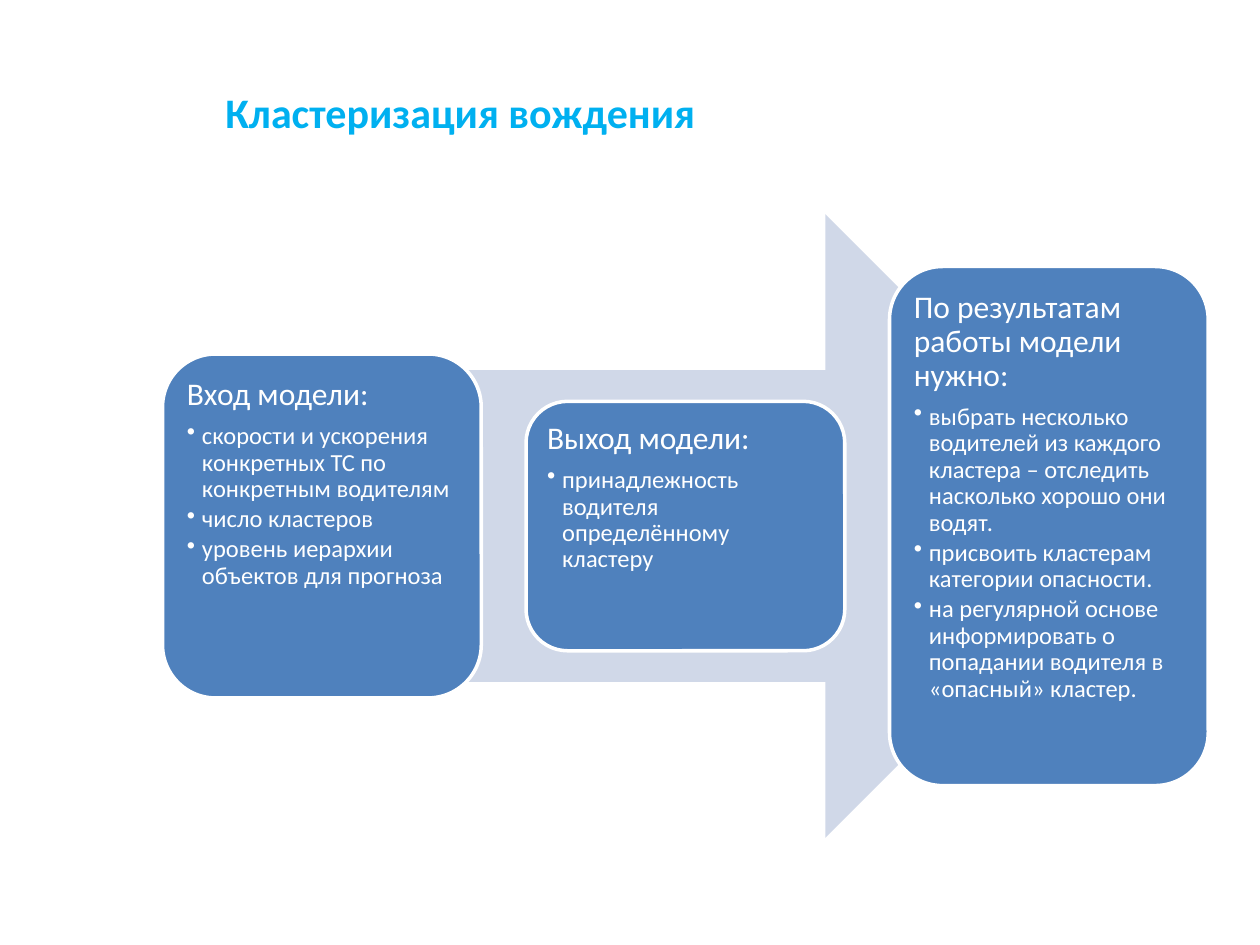
from lxml import etree
from pptx import Presentation
from pptx.dml.color import RGBColor
from pptx.enum.shapes import MSO_SHAPE
from pptx.enum.text import MSO_ANCHOR, PP_ALIGN
from pptx.oxml.ns import qn
from pptx.util import Inches, Pt

ARROW, CARD = MSO_SHAPE.RIGHT_ARROW, MSO_SHAPE.ROUNDED_RECTANGLE
TOP, MIDDLE = MSO_ANCHOR.TOP, MSO_ANCHOR.MIDDLE
LEFT = PP_ALIGN.LEFT

WHITE = RGBColor(0xFF, 0xFF, 0xFF)
SKY = RGBColor(0x00, 0xB0, 0xF0)
BLUE = RGBColor(0x4F, 0x81, 0xBD)
PALE = RGBColor(0xD0, 0xD8, 0xE8)
FONT = "Calibri"

# Each stage: card height, heading, bullet points
STAGES = [
    (2.73, "Вход модели:", [
        "скорости и ускорения конкретных ТС по конкретным водителям",
        "число кластеров",
        "уровень иерархии объектов для прогноза",
    ]),
    (1.98, "Выход модели:", [
        "принадлежность водителя определённому кластеру",
    ]),
    (4.12, "По результатам работы модели нужно:", [
        "выбрать несколько водителей из каждого кластера – отследить "
        "насколько хорошо они водят.",
        "присвоить кластерам категории опасности.",
        "на регулярной основе информировать о попадании водителя в "
        "«опасный» кластер.",
    ]),
]


def set_font(paragraph, size, color, bold=False):
    font = paragraph.font
    font.name, font.size, font.bold = FONT, Pt(size), bold
    font.color.rgb = color


def add_filled(slide, preset, box, fill):
    shape = slide.shapes.add_shape(preset, *map(Inches, box))
    shape.shadow.inherit = False
    shape.fill.solid()
    shape.fill.fore_color.rgb = fill
    return shape


def add_title(slide, box, text, indent):
    title = slide.shapes.add_textbox(*map(Inches, box))
    frame = title.text_frame
    frame.word_wrap = True
    frame.vertical_anchor = MIDDLE
    heading = frame.paragraphs[0]
    heading.text = text
    heading._p.get_or_add_pPr().set("marL", str(Inches(indent)))
    set_font(heading, 24, SKY, bold=True)


def add_bullet(paragraph, indent):
    props = paragraph._p.get_or_add_pPr()
    props.set("marL", str(Inches(indent)))
    props.set("indent", str(-Inches(indent)))
    etree.SubElement(props, qn("a:buChar")).set("char", "•")


def add_card(slide, box, heading, points):
    card = add_filled(slide, CARD, box, BLUE)
    card.line.color.rgb = WHITE
    card.line.width = Pt(2)
    frame = card.text_frame
    frame.word_wrap = True
    frame.vertical_anchor = TOP
    frame.margin_left = frame.margin_right = Inches(0.07)
    frame.margin_top = frame.margin_bottom = Inches(0.07)

    for number, text in enumerate([heading] + points):
        is_point = number > 0
        paragraph = frame.add_paragraph() if is_point else frame.paragraphs[0]
        paragraph.text = text
        if is_point:
            paragraph.level = 1
            add_bullet(paragraph, 0.12)
        paragraph.alignment = LEFT
        paragraph.line_spacing = 0.9
        paragraph.space_before = Pt(0)
        paragraph.space_after = Pt(2.1 if is_point else 6.3)
        set_font(paragraph, 14 if is_point else 18, WHITE)


def add_process(slide, box, stages):
    left, top, width, height = box
    # Arrow behind the cards, centred in the region
    arrow_width = 7.17
    arrow_left = left + (width - arrow_width) / 2
    arrow = add_filled(slide, ARROW, (arrow_left, top, arrow_width, height), PALE)
    arrow.line.fill.background()

    # Equal columns, each card centred on the arrow's axis
    card_width = 2.53
    pitch = (width - card_width) / (len(stages) - 1)
    for column, (card_height, heading, points) in enumerate(stages):
        card_top = top + (height - card_height) / 2
        card_box = (left + column * pitch, card_top, card_width, card_height)
        add_card(slide, card_box, heading, points)


def main():
    deck = Presentation()
    deck.slide_width, deck.slide_height = Inches(10), Inches(7.5)
    slide = deck.slides.add_slide(deck.slide_layouts[6])
    add_title(slide, (1.22, 0.48, 5.85, 0.82), "Кластеризация вождения", 0.47)
    add_process(slide, (1.29, 1.7, 8.3, 4.95), STAGES)
    deck.save("out.pptx")


if __name__ == "__main__":
    main()
